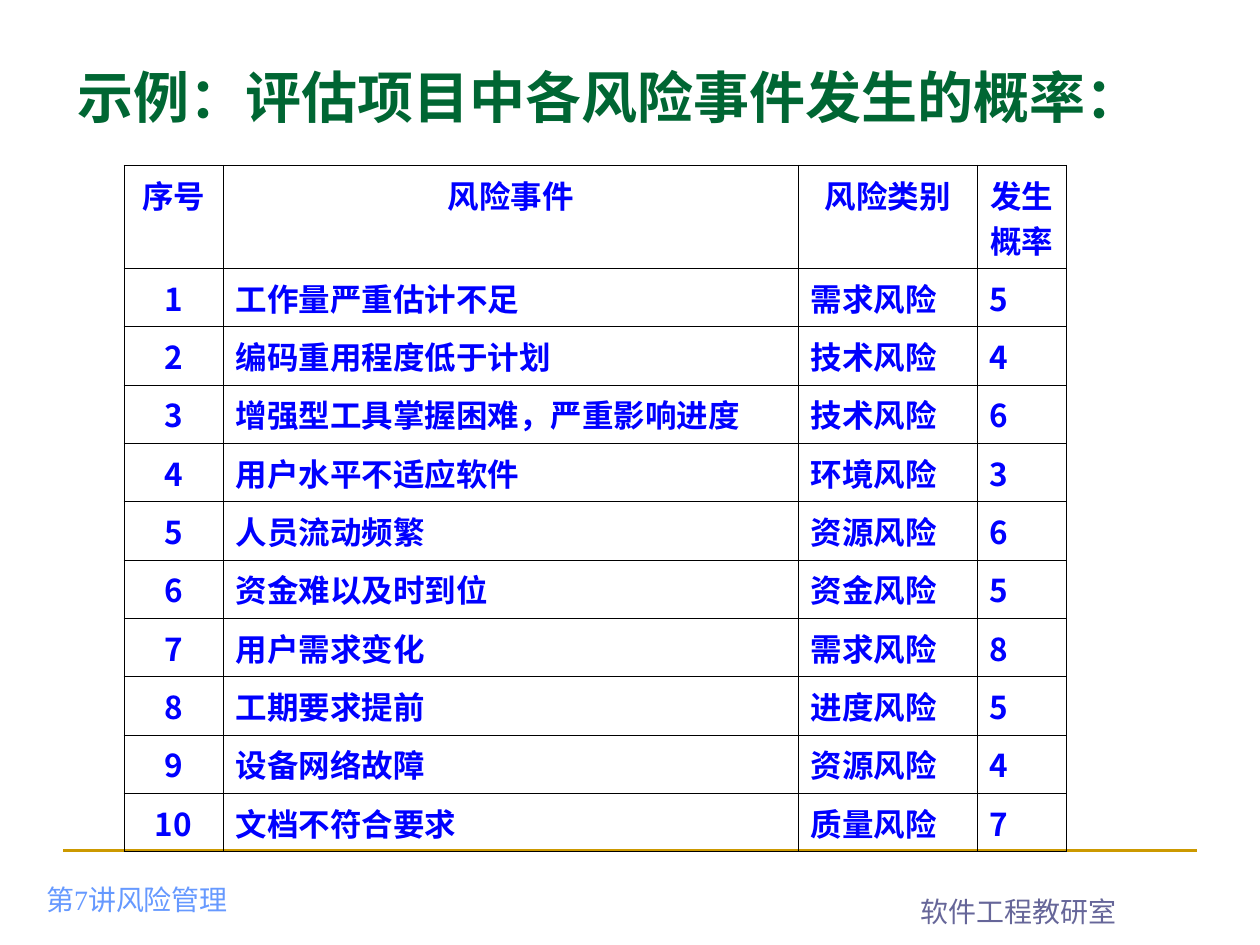
from lxml import etree
from pptx import Presentation
from pptx.dml.color import RGBColor
from pptx.enum.shapes import MSO_CONNECTOR
from pptx.enum.text import MSO_ANCHOR, MSO_AUTO_SIZE, PP_ALIGN
from pptx.oxml.ns import qn
from pptx.util import Pt

COLORS = {
    "title": "006633",
    "table": "0000FF",
    "border": "000000",
    "rule": "CC9900",
    "lecture": "6699FF",
    "department": "666699",
}
CJK_FONT = "Noto Sans CJK SC"
LATIN_FONT = "Times New Roman"
BORDER_WIDTH = 0.45
HEADER_HEIGHT, ROW_HEIGHT = 59, 33.35
COLUMN_WIDTHS = (56.7, 328.7, 102.2, 51)
HEADERS = ("序号", "风险事件", "风险类别", "发生\n概率")
RISKS = (
    ("工作量严重估计不足", "需求风险", 5),
    ("编码重用程度低于计划", "技术风险", 4),
    ("增强型工具掌握困难，严重影响进度", "技术风险", 6),
    ("用户水平不适应软件", "环境风险", 3),
    ("人员流动频繁", "资源风险", 6),
    ("资金难以及时到位", "资金风险", 5),
    ("用户需求变化", "需求风险", 8),
    ("工期要求提前", "进度风险", 5),
    ("设备网络故障", "资源风险", 4),
    ("文档不符合要求", "质量风险", 7),
)


def rgb(name):
    return RGBColor.from_string(COLORS[name])


def write_text(text_frame, text, size, color, font=LATIN_FONT, bold=False,
               align=PP_ALIGN.LEFT):
    text_frame.text = text
    for paragraph in text_frame.paragraphs:
        paragraph.alignment = align
        for run in paragraph.runs:
            run.font.size = Pt(size)
            run.font.bold = bold
            run.font.name = font
            run.font.color.rgb = rgb(color)
            east_asian = etree.SubElement(run.font._element, qn("a:ea"))
            east_asian.set("typeface", CJK_FONT)


def place(shape, left, top, width, height):
    shape.left, shape.top = Pt(left), Pt(top)
    shape.width, shape.height = Pt(width), Pt(height)


def add_title(slide, text):
    title = slide.shapes.title
    place(title, 37, 29.9, 648, 49.7)
    title.text_frame.auto_size = MSO_AUTO_SIZE.NONE
    title.text_frame.vertical_anchor = MSO_ANCHOR.MIDDLE
    write_text(title.text_frame, text, 32, "title", bold=True)


def add_rule(slide):
    rule = slide.shapes.add_connector(
        MSO_CONNECTOR.STRAIGHT, Pt(36), Pt(486), Pt(684), Pt(486))
    rule.line.color.rgb = rgb("rule")
    rule.line.width = Pt(1.5)
    etree.SubElement(rule._element.spPr, qn("a:effectLst"))


def add_footer(slide, text, left, top, width, color, align):
    box = slide.shapes.add_textbox(Pt(left), Pt(top), Pt(width), Pt(36))
    box.text_frame.word_wrap = True
    box.text_frame.vertical_anchor = MSO_ANCHOR.BOTTOM
    write_text(box.text_frame, text, 16, color, align=align)


def outline_cell(cell):
    """Draw all four borders and leave the cell unfilled."""
    properties = cell._tc.get_or_add_tcPr()
    for side in ("a:lnL", "a:lnR", "a:lnT", "a:lnB"):
        line = etree.SubElement(properties, qn(side), w=str(int(Pt(BORDER_WIDTH))))
        fill = etree.SubElement(line, qn("a:solidFill"))
        etree.SubElement(fill, qn("a:srgbClr"), val=COLORS["border"])
    cell.fill.background()


def add_risk_table(slide):
    rows = [HEADERS] + [(number, *risk) for number, risk in enumerate(RISKS, 1)]
    frame = slide.shapes.add_table(
        len(rows), len(HEADERS), Pt(70.8), Pt(94.4), Pt(sum(COLUMN_WIDTHS)),
        Pt(HEADER_HEIGHT + ROW_HEIGHT * len(RISKS)))
    table = frame.table
    table.first_row = table.horz_banding = False
    for column, width in zip(table.columns, COLUMN_WIDTHS):
        column.width = Pt(width)
    for row_index, values in enumerate(rows):
        table.rows[row_index].height = Pt(ROW_HEIGHT if row_index else HEADER_HEIGHT)
        for column_index, value in enumerate(values):
            cell = table.cell(row_index, column_index)
            centred = row_index == 0 or column_index == 0
            write_text(cell.text_frame, str(value), 18, "table", CJK_FONT, True,
                       PP_ALIGN.CENTER if centred else PP_ALIGN.LEFT)
            outline_cell(cell)


def main():
    presentation = Presentation()
    presentation.slide_width, presentation.slide_height = Pt(720), Pt(540)
    slide = presentation.slides.add_slide(presentation.slide_layouts[5])
    add_rule(slide)
    add_footer(slide, "软件工程教研室", 468, 498.2, 228, "department", PP_ALIGN.CENTER)
    add_footer(slide, "第7讲风险管理", 19.4, 491, 295.2, "lecture", PP_ALIGN.LEFT)
    add_title(slide, "示例：评估项目中各风险事件发生的概率：")
    add_risk_table(slide)
    presentation.save("out.pptx")


if __name__ == "__main__":
    main()
